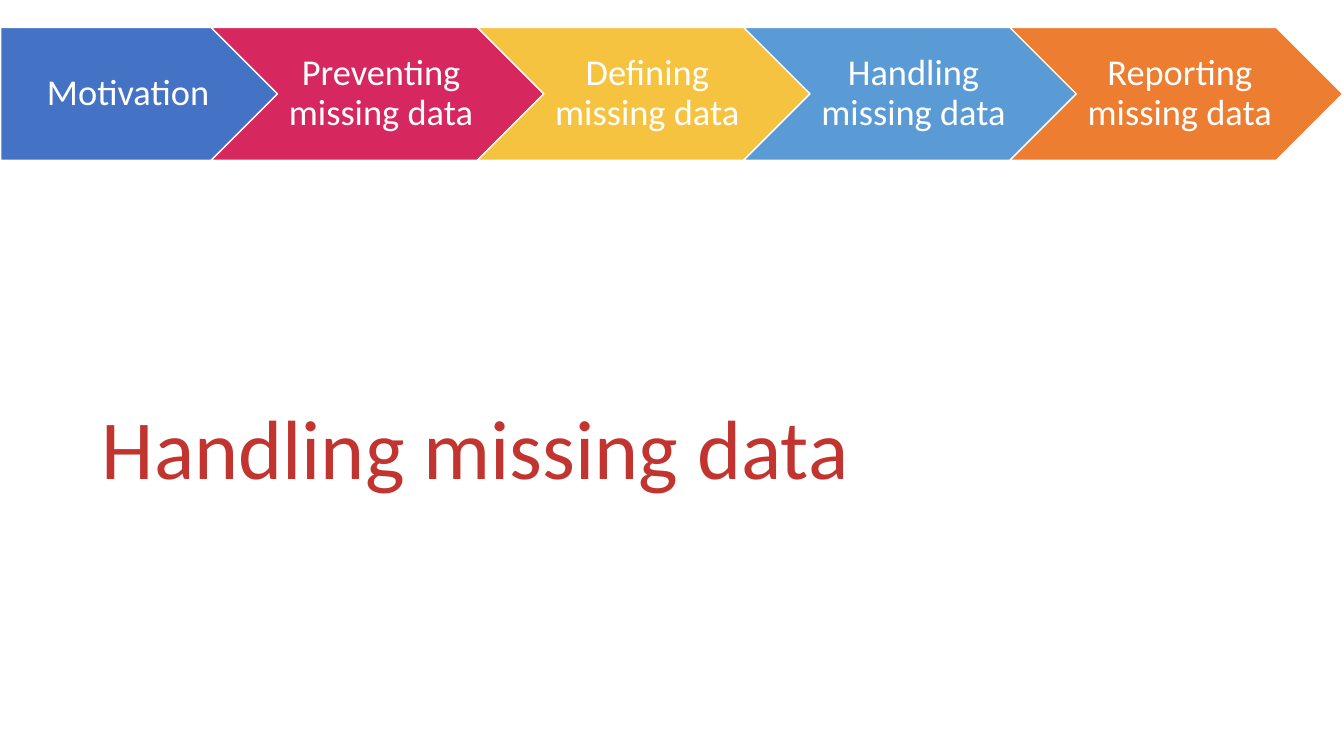
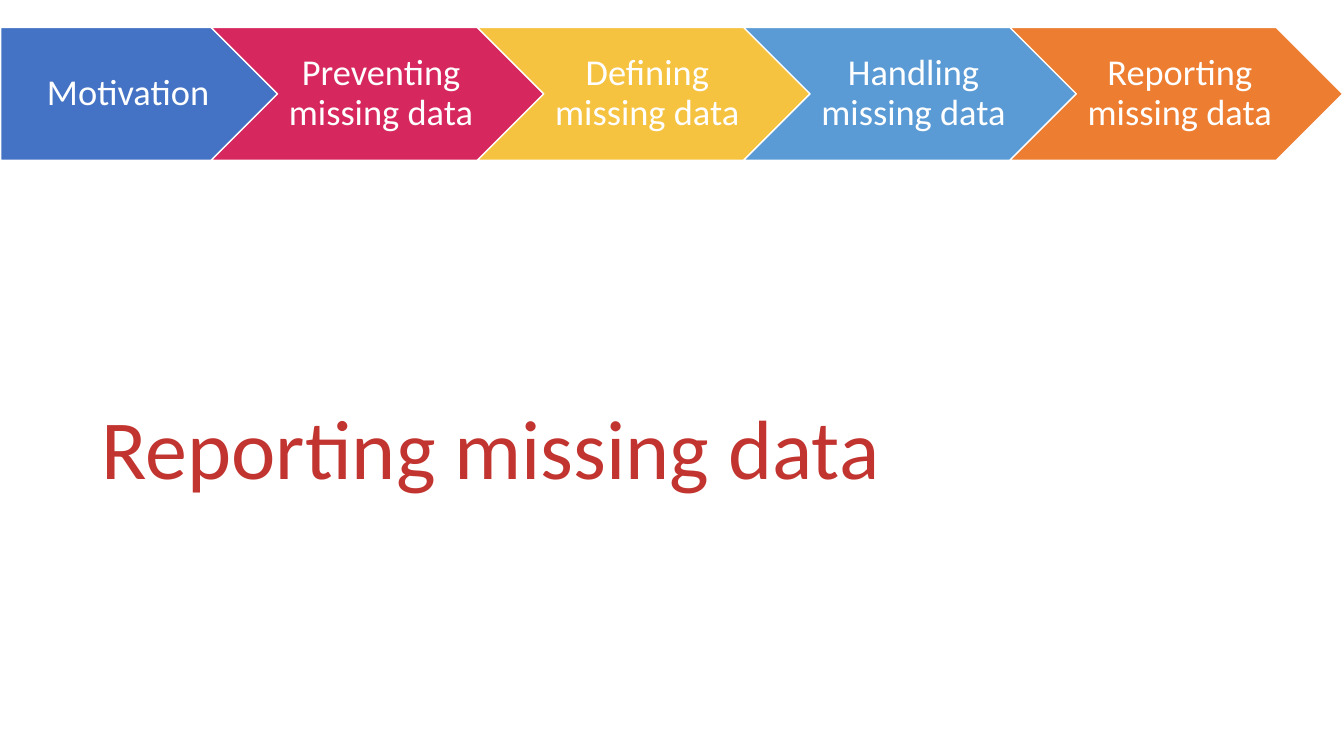
"""Build two section slides that share a band of process steps."""
from dataclasses import dataclass

from pptx import Presentation
from pptx.dml.color import RGBColor
from pptx.enum.shapes import MSO_SHAPE
from pptx.enum.text import MSO_ANCHOR, MSO_AUTO_SIZE, PP_ALIGN
from pptx.util import Cm, Pt


@dataclass(frozen=True)
class Theme:
    """Hold the fonts, type sizes and colours."""
    font: str = "Calibri"
    title_size: int = 60
    step_size: int = 26
    line_spacing: float = 0.9
    title: str = "C2342F"
    white: str = "FFFFFF"
    steps: tuple = ("4472C4", "D6285E", "F6C341", "5B9BD5", "ED7D31")


STEPS = (
    "Motivation",
    "Preventing missing data",
    "Defining missing data",
    "Handling missing data",
    "Reporting missing data",
)
SECTIONS = STEPS[3:]

BAND_LEFT, BAND_TOP, BAND_HEIGHT = 0.02, 0.69, 3.35
PLATE_WIDTH, CHEVRON_WIDTH, STEP_PITCH = 6.98, 8.39, 6.71


class Deck:
    """Draw styled elements on the current slide."""

    def __init__(self, theme):
        """Start an empty widescreen presentation."""
        self.theme = theme
        self.presentation = Presentation()
        self.presentation.slide_width = Cm(33.87)
        self.presentation.slide_height = Cm(19.05)
        self.slide = None

    def new_slide(self):
        """Add a title-only slide and make it current."""
        self.slide = self.presentation.slides.add_slide(
            self.presentation.slide_layouts[5])

    def add_text(self, frame, text, size, color, align, anchor):
        """Put one formatted run of text in a frame."""
        frame.word_wrap = True
        frame.auto_size = MSO_AUTO_SIZE.NONE
        frame.vertical_anchor = anchor
        paragraph = frame.paragraphs[0]
        paragraph.alignment = align
        paragraph.line_spacing = self.theme.line_spacing
        run = paragraph.add_run()
        run.text = text
        run.font.name = self.theme.font
        run.font.size = Pt(size)
        run.font.color.rgb = RGBColor.from_string(color)

    def title(self, text):
        """Place and fill the section title."""
        title = self.slide.shapes.title
        title.left, title.top = Cm(2.31), Cm(4.75)
        title.width, title.height = Cm(29.21), Cm(7.92)
        self.add_text(title.text_frame, text, self.theme.title_size,
                      self.theme.title, PP_ALIGN.LEFT, MSO_ANCHOR.BOTTOM)

    def step(self, band, index, label):
        """Draw one step of the band, the first one with a flat start."""
        first = index == 0
        outline = MSO_SHAPE.PENTAGON if first else MSO_SHAPE.CHEVRON
        width = PLATE_WIDTH if first else CHEVRON_WIDTH
        tip = BAND_LEFT + PLATE_WIDTH + index * STEP_PITCH
        step = band.shapes.add_shape(outline, Cm(tip - width), Cm(BAND_TOP),
                                     Cm(width), Cm(BAND_HEIGHT))
        step.shadow.inherit = False
        step.fill.solid()
        step.fill.fore_color.rgb = RGBColor.from_string(self.theme.steps[index])
        step.line.color.rgb = RGBColor.from_string(self.theme.white)
        step.line.width = Pt(1)
        frame = step.text_frame
        frame.margin_left = Cm(0.3 if first else 0.2)
        frame.margin_right = Cm(0.02)
        frame.margin_top = frame.margin_bottom = Cm(0.2)
        self.add_text(frame, label, self.theme.step_size, self.theme.white,
                      PP_ALIGN.CENTER, MSO_ANCHOR.MIDDLE)

    def step_band(self, labels):
        """Draw all steps as one group across the slide."""
        band = self.slide.shapes.add_group_shape()
        for index, label in enumerate(labels):
            self.step(band, index, label)


def main():
    """Build and save the section slides."""
    deck = Deck(Theme())
    for section in SECTIONS:
        deck.new_slide()
        deck.title(section)
        deck.step_band(STEPS)
    deck.presentation.save("out.pptx")


if __name__ == "__main__":
    main()
